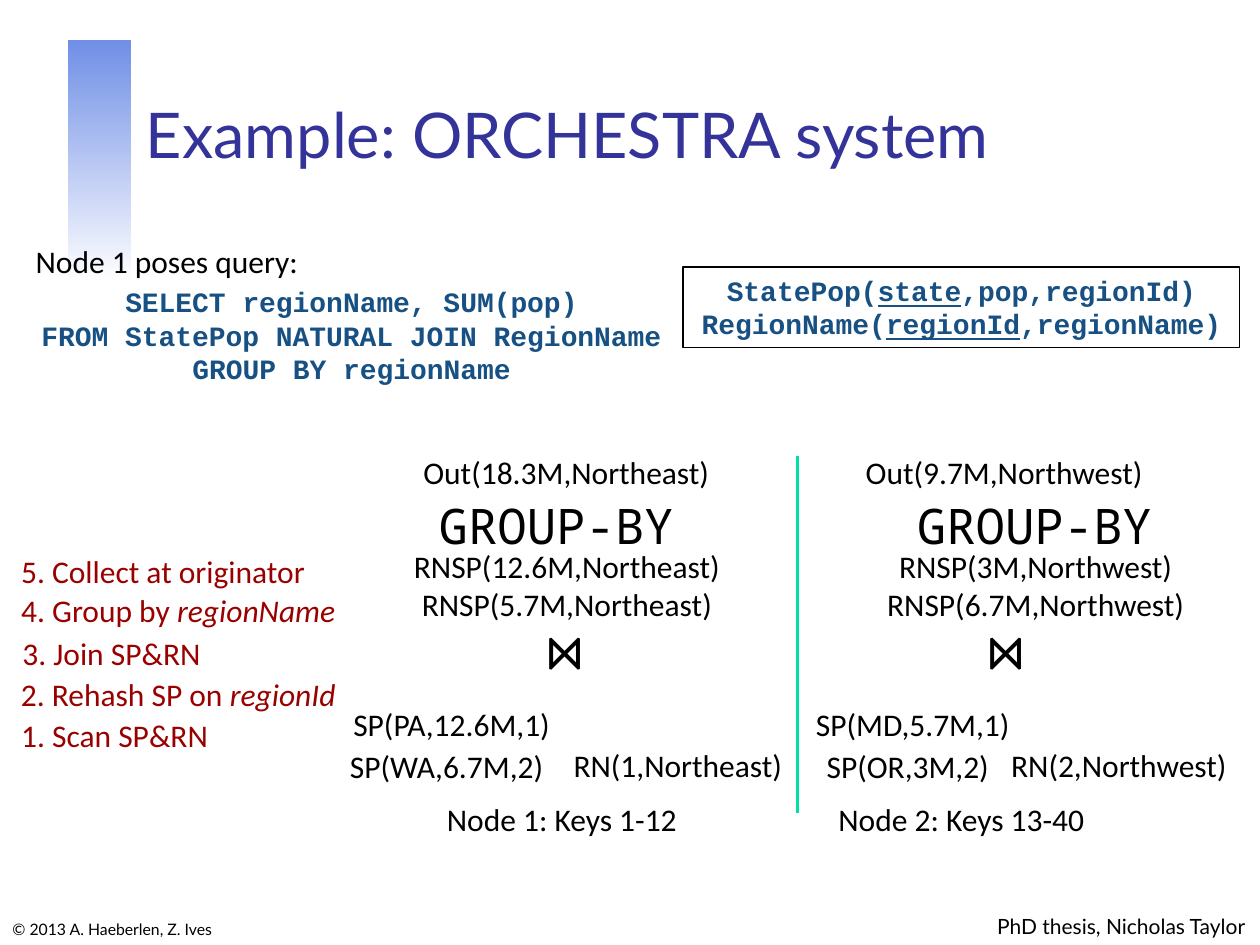
from pptx import Presentation
from pptx.dml.color import RGBColor
from pptx.enum.shapes import MSO_CONNECTOR, MSO_SHAPE
from pptx.enum.text import MSO_ANCHOR, MSO_AUTO_SIZE, PP_ALIGN
from pptx.util import Inches, Pt
from lxml import etree

RECTANGLE = MSO_SHAPE.RECTANGLE
STRAIGHT = MSO_CONNECTOR.STRAIGHT
CENTER, LEFT = PP_ALIGN.CENTER, PP_ALIGN.LEFT
TOP, BOTTOM = MSO_ANCHOR.TOP, MSO_ANCHOR.BOTTOM
GROW, FIXED = MSO_AUTO_SIZE.SHAPE_TO_FIT_TEXT, MSO_AUTO_SIZE.NONE
DRAWING = "http://schemas.openxmlformats.org/drawingml/2006/main"

BODY = {"size": 18, "font": "Calibri", "color": "000000"}
STEP = {**BODY, "color": "990000"}
CODE = {"size": 16, "font": "Courier New", "color": "175083", "bold": True}
OPERATOR = {"size": 28, "font": "Noto Sans Mono", "color": "000000"}
JOIN = {**OPERATOR, "size": 32}
TITLE = {"size": 36, "font": "Lato", "color": "333399"}
NOTE = {"size": 12, "font": "Lato", "color": "000000"}
COPYRIGHT = {**NOTE, "size": 9}

QUERY = ["SELECT regionName, SUM(pop)",
         "FROM StatePop NATURAL JOIN RegionName",
         "GROUP BY regionName"]
SCHEMA = [["StatePop(", ("state", "underline"), ",pop,regionId)"],
          ["RegionName(", ("regionId", "underline"), ",regionName)"]]

STEPS = [
    (["5. Collect at originator"], -0.12, 4.41, 2.83, 0.31, 0.7),
    (["4. Group by ", ("regionName", "italic")], 0, 4.72, 2.83, 0.33, 0.7),
    (["3. Join SP&RN"], 0.01, 4.98, 1.75, 0.4, None),
    (["2. Rehash SP on ", ("regionId", "italic")], 0, 5.39, 2.83, 0.33, 0.7),
    (["1. Scan SP&RN"], -0.09, 5.63, 2, 0.4, None),
]

STAGES = [
    (3.55, 0.4, BODY, False),
    (3.88, 0.57, OPERATOR, True),
    (4.29, 0.71, BODY, False),
    (4.84, 0.64, JOIN, True),
    (5.55, 0.4, BODY, True),
    (5.88, 0.4, BODY, True),
    (5.87, 0.4, BODY, True),
    (6.3, 0.4, BODY, True),
]
NODES = [
    [(["Out(18.3M,Northeast)"], 3.25, 2.49),
     (["GROUP-BY"], 3.25, 2.33),
     (["RNSP(12.6M,Northeast)", "RNSP(5.7M,Northeast)"], 3.17, 2.66),
     (["⋈"], 4.25, 0.42),
     (["SP(PA,12.6M,1)"], 2.67, 1.83),
     (["SP(WA,6.7M,2)"], 2.67, 1.75),
     (["RN(1,Northeast)"], 4.42, 1.92),
     (["Node 1: Keys 1-12"], 3.42, 2.08)],
    [(["Out(9.7M,Northwest)"], 6.76, 2.42),
     (["GROUP-BY"], 6.92, 2.58),
     (["RNSP(3M,Northwest)", "RNSP(6.7M,Northwest)"], 6.93, 2.58),
     (["⋈"], 7.75, 0.42),
     (["SP(MD,5.7M,1)"], 6.33, 1.83),
     (["SP(OR,3M,2)"], 6.33, 1.75),
     (["RN(2,Northwest)"], 7.92, 1.92),
     (["Node 2: Keys 13-40"], 6.42, 2.42)],
]


def rgb(color):
    return RGBColor.from_string(color)


def write(box, lines, style, align=CENTER, anchor=TOP, wrap=True, grow=True, spacing=None):
    frame = box.text_frame
    frame.word_wrap = wrap
    frame.auto_size = GROW if grow else FIXED
    frame.vertical_anchor = anchor
    for index, line in enumerate(lines):
        para = frame.add_paragraph() if index else frame.paragraphs[0]
        para.alignment = align
        if spacing:
            para.line_spacing = spacing
        for part in [line] if isinstance(line, str) else line:
            text, accent = (part, None) if isinstance(part, str) else part
            span = para.add_run()
            span.text = text
            span.font.size = Pt(style["size"])
            span.font.name = style["font"]
            span.font.color.rgb = rgb(style["color"])
            span.font.bold = style.get("bold", False)
            if accent:
                setattr(span.font, accent, True)


def add_text(page, place, lines, style, **layout):
    box = page.shapes.add_textbox(*map(Inches, place))
    write(box, lines, style, **layout)


def add_rectangle(page, place):
    box = page.shapes.add_shape(RECTANGLE, *map(Inches, place))
    box.shadow.inherit = False
    return box


def add_accent_bar(page):
    bar = add_rectangle(page, (0.54, 0.32, 0.5, 1.93))
    bar.line.fill.background()
    bar.fill.gradient()
    bar.fill.gradient_angle = 270
    for stop, position, color in zip(bar.fill.gradient_stops, (0, 1), ("708FE6", "FFFFFF")):
        stop.position = position
        stop.color.rgb = rgb(color)


def add_divider(page):
    divider = page.shapes.add_connector(STRAIGHT, *map(Inches, (6.33, 3.62, 6.33, 6.45)))
    divider.line.color.rgb = rgb("00DFA4")
    divider.line.width = Pt(1.5)
    etree.SubElement(divider.line._get_or_add_ln().getparent(), f"{{{DRAWING}}}effectLst")


def add_schema(page):
    schema = add_rectangle(page, (5.42, 2.12, 4.42, 0.64))
    schema.fill.background()
    schema.line.color.rgb = rgb("000000")
    schema.line.width = Pt(0.75)
    write(schema, SCHEMA, CODE)


def main():
    deck = Presentation()
    deck.slide_width, deck.slide_height = Inches(10), Inches(7.5)
    page = deck.slides.add_slide(deck.slide_layouts[6])

    add_accent_bar(page)
    add_text(page, (0, 7.22, 1.95, 0.28), ["© 2013 A. Haeberlen, Z. Ives"], COPYRIGHT,
             align=LEFT, anchor=BOTTOM, grow=False)
    add_text(page, (1.06, 0.33, 8.52, 1.08), ["Example: ORCHESTRA system"], TITLE,
             align=LEFT, anchor=BOTTOM, grow=False)
    add_divider(page)
    add_schema(page)
    add_text(page, (0.17, 1.87, 2.31, 0.4), ["Node 1 poses query:"], BODY, wrap=False)
    add_text(page, (0.08, 2.21, 5.42, 0.91), QUERY, CODE)

    for line, left, top, width, height, spacing in STEPS:
        add_text(page, (left, top, width, height), [line], STEP, spacing=spacing)
    for node in NODES:
        for (lines, left, width), (top, height, style, wrap) in zip(node, STAGES):
            add_text(page, (left, top, width, height), lines, style, wrap=wrap)

    add_text(page, (7.8, 7.2, 2.2, 0.3), ["PhD thesis, Nicholas Taylor"], NOTE, wrap=False)
    deck.save("out.pptx")


if __name__ == "__main__":
    main()
